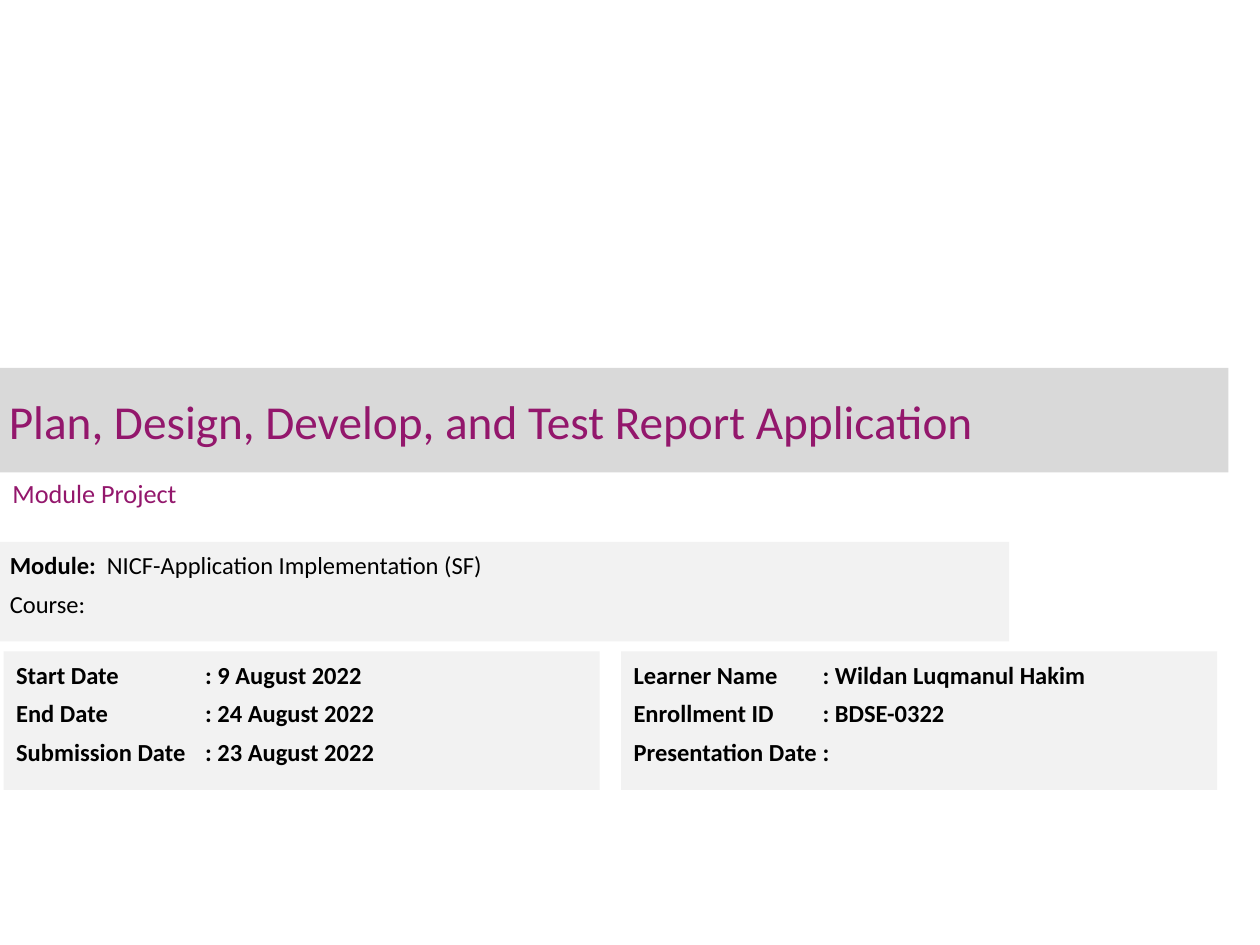
from lxml.etree import SubElement
from pptx import Presentation
from pptx.dml.color import RGBColor
from pptx.enum.shapes import MSO_SHAPE
from pptx.enum.text import MSO_ANCHOR, PP_ALIGN
from pptx.oxml.ns import qn
from pptx.util import Inches, Pt

WIDTH, HEIGHT = 10, 7.5
PLUM, BLACK = "93176C", "000000"
BAND_GREY, PANEL_GREY = "D9D9D9", "F2F2F2"
DETAIL_WIDTH, DETAIL_STEP = 4.73, 4.9


def color(hex_code):
    """Turn a hex string into a colour."""
    return RGBColor.from_string(hex_code)


def place(slide, box, fill=None):
    """Add a plain panel, or a text box when no fill is given."""
    lengths = [Inches(length) for length in box]
    if fill is None:
        return slide.shapes.add_textbox(*lengths)
    panel = slide.shapes.add_shape(MSO_SHAPE.RECTANGLE, *lengths)
    panel.shadow.inherit = False
    panel.fill.solid()
    panel.fill.fore_color.rgb = color(fill)
    panel.line.fill.background()
    return panel


def write(panel, lines, size=14, ink=BLACK, anchor=MSO_ANCHOR.TOP,
          inset=(0.1, 0.05), spaced=False, tab=None):
    """Write lines, each a list of (words, bold) runs, into a panel."""
    frame = panel.text_frame
    frame.word_wrap = True
    frame.vertical_anchor = anchor
    frame.margin_left = frame.margin_right = Inches(inset[0])
    frame.margin_top = frame.margin_bottom = Inches(inset[1])
    for index, line in enumerate(lines):
        paragraph = frame.add_paragraph() if index else frame.paragraphs[0]
        paragraph.alignment = PP_ALIGN.LEFT
        if spaced:
            paragraph.line_spacing = Pt(18)
            paragraph.space_before = paragraph.space_after = Pt(2)
        if tab:
            stops = SubElement(paragraph._p.get_or_add_pPr(), qn("a:tabLst"))
            SubElement(stops, qn("a:tab"), pos=str(Inches(tab)), algn="l")
        for words, bold in line:
            run = paragraph.add_run()
            run.text = words
            run.font.name = "Calibri"
            run.font.size = Pt(size)
            run.font.bold = bold
            run.font.color.rgb = color(ink)


def add_heading(slide, left, top):
    """Place the title band and the subtitle under it."""
    band = place(slide, (left, top, WIDTH * 0.975, 0.83), BAND_GREY)
    write(band, [[("Plan, Design, Develop, and Test Report Application", False)]],
          size=27, ink=PLUM, anchor=MSO_ANCHOR.MIDDLE, inset=(0.07, 0.04))
    subtitle = place(slide, (left, top + 0.68, 6.42, 0.62))
    write(subtitle, [[("Module Project", False)]],
          size=15, ink=PLUM, anchor=MSO_ANCHOR.MIDDLE)


def add_module(slide, box):
    """Place the panel naming the module and course."""
    lines = [[("Module:\t", True), ("NICF-Application Implementation (SF)", False)],
             [("Course:", False)]]
    write(place(slide, box, PANEL_GREY), lines, spaced=True, tab=0.77)


def add_details(slide, box, details):
    """Place a panel of labels with their values aligned at a tab."""
    lines = [[(f"{label}\t: {entry}".rstrip(), True)] for label, entry in details]
    write(place(slide, box, PANEL_GREY), lines, spaced=True, tab=1.5)


def main():
    """Build the cover slide and save it."""
    deck = Presentation()
    deck.slide_width, deck.slide_height = Inches(WIDTH), Inches(HEIGHT)
    cover = deck.slides.add_slide(deck.slide_layouts[6])
    add_heading(cover, 0, 2.92)
    add_module(cover, (-0.02, 4.3, 8.03, 0.79))
    dates = [("Start Date", "9 August 2022"), ("End Date", "24 August 2022"),
             ("Submission Date", "23 August 2022")]
    learner = [("Learner Name", "Wildan Luqmanul Hakim"),
               ("Enrollment ID", "BDSE-0322"), ("Presentation Date", "")]
    for column, details in enumerate((dates, learner)):
        left = 0.03 + column * DETAIL_STEP
        add_details(cover, (left, 5.17, DETAIL_WIDTH, 1.1), details)
    deck.save("out.pptx")


if __name__ == "__main__":
    main()
